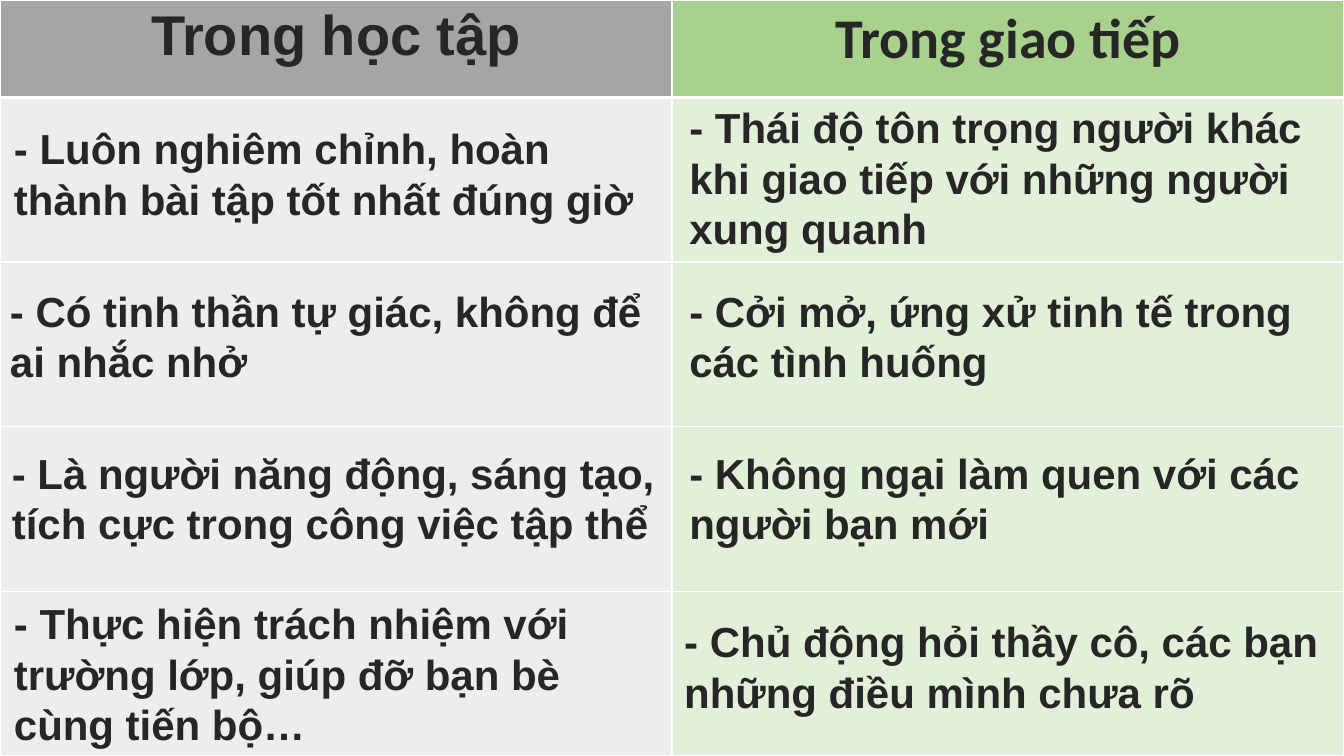
from typing import NamedTuple

from lxml.etree import SubElement
from pptx import Presentation
from pptx.dml.color import RGBColor as RGB
from pptx.enum.text import MSO_AUTO_SIZE as AutoSize, PP_ALIGN as Align
from pptx.oxml.ns import qn
from pptx.util import Pt

COLORS = {
    "text": "262626",
    "border": "FFFFFF",
    "study_head": "A5A5A5",
    "study_body": "EDEDED",
    "social_head": "A9D18E",
    "social_body": "E2F0D9",
}
WIDTH, HEIGHT = 960, 540
HEAD_HEIGHT = 69.6
BODY_ROWS = 4


class Column(NamedTuple):
    title: str
    font: str
    head: str
    body: str


class Note(NamedTuple):
    left: float
    top: float
    width: float
    height: float
    text: str


COLUMNS = [
    Column("Trong học tập", "Arial", "study_head", "study_body"),
    Column("Trong giao tiếp", "Calibri", "social_head", "social_body"),
]
NOTES = [
    Note(2.9, 84.2, 476.6, 80, "- Luôn nghiêm chỉnh, hoàn thành bài tập tốt nhất đúng giờ"),
    Note(0, 200.2, 476.6, 80, "- Có tinh thần tự giác, không để ai nhắc nhở"),
    Note(1.4, 316.1, 480.2, 80, "- Là người năng động, sáng tạo, tích cực trong công việc tập thể"),
    Note(2.9, 423.4, 475.2, 116.6,
         "- Thực hiện trách nhiệm với trường lớp, giúp đỡ bạn bè cùng tiến bộ…"),
    Note(485.3, 69.1, 478.1, 116.6,
         "- Thái độ tôn trọng người khác khi giao tiếp với những người xung quanh"),
    Note(485.3, 200.2, 457.9, 80, "- Cởi mở, ứng xử tinh tế trong các tình huống"),
    Note(485.3, 316.1, 462.2, 80, "- Không ngại làm quen với các người bạn mới"),
    Note(481.7, 436.3, 478.1, 80, "- Chủ động hỏi thầy cô, các bạn những điều mình chưa rõ"),
]


def style_paragraph(p, name: str, size: float) -> None:
    p.font.name = name
    p.font.size = Pt(size)
    p.font.bold = True
    p.font.color.rgb = RGB.from_string(COLORS["text"])


def style_cell(cell, fill: str, top: float = 1, bottom: float = 1) -> None:
    props = cell._tc.get_or_add_tcPr()
    for side, width in (("L", 1), ("R", 1), ("T", top), ("B", bottom)):
        line = SubElement(props, qn(f"a:ln{side}"), w=str(Pt(width)))
        solid = SubElement(line, qn("a:solidFill"))
        SubElement(solid, qn("a:srgbClr"), val=COLORS["border"])
    cell.fill.solid()
    cell.fill.fore_color.rgb = RGB.from_string(COLORS[fill])


def add_grid(s) -> None:
    frame = s.shapes.add_table(BODY_ROWS + 1, len(COLUMNS), 0, 0, Pt(WIDTH), Pt(HEIGHT))
    table = frame.table
    for i, row in enumerate(table.rows):
        row.height = Pt((HEIGHT - HEAD_HEIGHT) / BODY_ROWS if i else HEAD_HEIGHT)
    for j, column in enumerate(COLUMNS):
        table.columns[j].width = Pt(WIDTH / len(COLUMNS))
        head = table.cell(0, j)
        style_cell(head, column.head, bottom=3)
        p = head.text_frame.paragraphs[0]
        p.text = column.title
        p.alignment = Align.CENTER
        style_paragraph(p, column.font, 40)
        for i in range(1, BODY_ROWS + 1):
            style_cell(table.cell(i, j), column.body, top=3 if i == 1 else 1)


def add_note(s, note: Note) -> None:
    sp = s.shapes.add_textbox(Pt(note.left), Pt(note.top), Pt(note.width), Pt(note.height))
    tf = sp.text_frame
    tf.word_wrap = True
    tf.auto_size = AutoSize.SHAPE_TO_FIT_TEXT
    p = tf.paragraphs[0]
    p.text = note.text
    style_paragraph(p, "Arial", 30)


def main() -> None:
    prs = Presentation()
    prs.slide_width, prs.slide_height = Pt(WIDTH), Pt(HEIGHT)
    s = prs.slides.add_slide(prs.slide_layouts[6])
    add_grid(s)
    for note in NOTES:
        add_note(s, note)
    prs.save("out.pptx")


if __name__ == "__main__":
    main()
